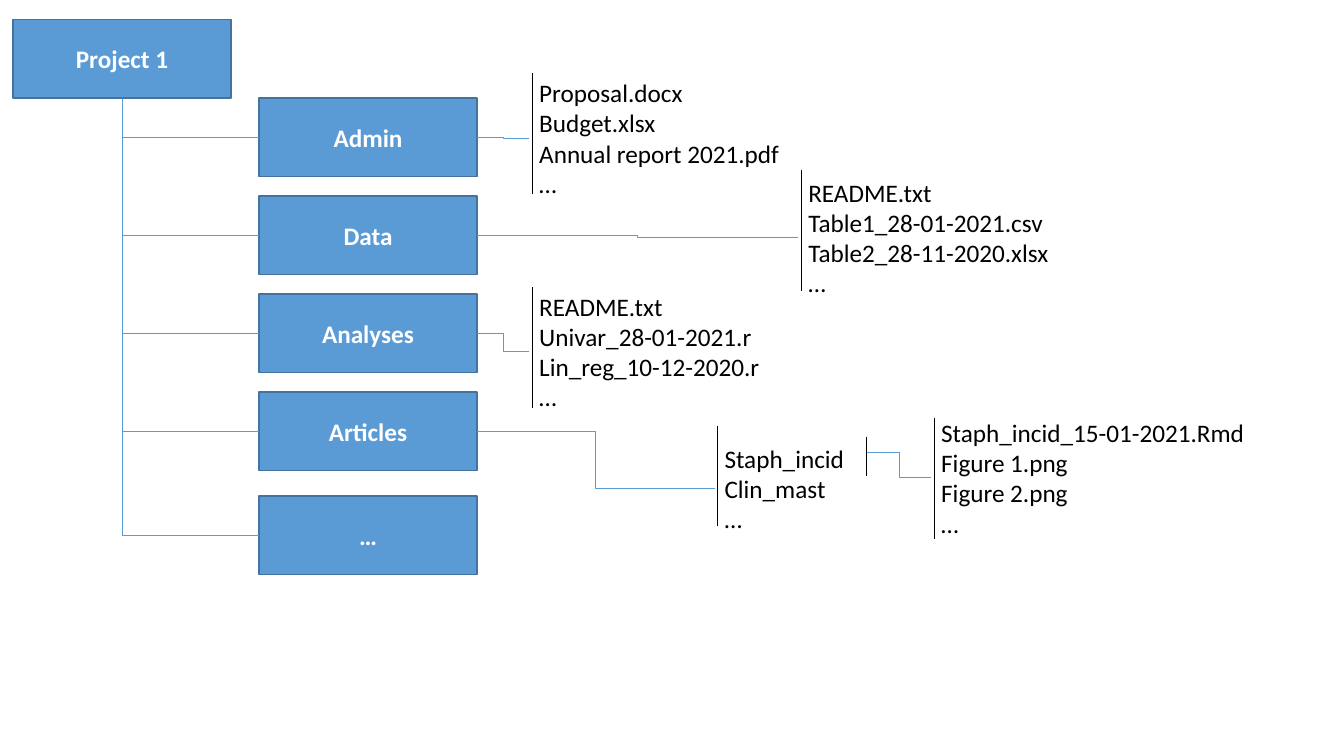
from dataclasses import dataclass

from lxml.etree import SubElement
from pptx import Presentation
from pptx.dml.color import RGBColor
from pptx.enum.shapes import MSO_CONNECTOR as Link, MSO_SHAPE as Preset
from pptx.enum.text import MSO_ANCHOR as Anchor, PP_ALIGN as Align
from pptx.oxml.ns import qn
from pptx.shapes.autoshape import Shape
from pptx.shapes.connector import Connector
from pptx.shapes.shapetree import SlideShapes
from pptx.text.text import TextFrame
from pptx.util import Cm, Pt


@dataclass(frozen=True)
class Theme:
    font: str = "Calibri"
    size: int = 18
    box_fill: RGBColor = RGBColor(0x5B, 0x9B, 0xD5)
    box_line: RGBColor = RGBColor(0x43, 0x73, 0x9E)
    box_text: RGBColor = RGBColor(0xFF, 0xFF, 0xFF)
    ink: RGBColor = RGBColor(0, 0, 0)
    box_line_pt: float = 1
    link_pt: float = 0.5


@dataclass(frozen=True)
class Folder:
    name: str
    left: float
    top: float


@dataclass(frozen=True)
class FileList:
    """Names beside a vertical bar; parent is the folder they sit in, if boxed."""
    parent: str
    names: tuple[str, ...]
    left: float
    top: float
    bar_top: float
    bar_length: float = 3.04
    width: float = 7.7
    height: float = 2.87


THEME = Theme()
BOX_W, BOX_H = 5.49, 1.98
CHILD_LEFT, PITCH = 6.53, 2.47
BAR_OFFSET = 0.08
SUBFOLDER_X, SUBFOLDER_Y = 21.84, 11.4

ROOT = Folder("Project 1", 0.33, 0.49)
CHILDREN = [
    Folder(name, CHILD_LEFT, PITCH * row)
    for row, name in enumerate(("Admin", "Data", "Analyses", "Articles"), start=1)
] + [Folder("…", CHILD_LEFT, 12.5)]

LISTS = (
    FileList("Admin", ("Proposal.docx", "Budget.xlsx", "Annual report 2021.pdf", "…"),
             13.34, 2.04, 1.85),
    FileList("Data", ("README.txt", "Table1_28-01-2021.csv", "Table2_28-11-2020.xlsx", "…"),
             20.12, 4.55, 4.29),
    FileList("Analyses", ("README.txt", "Univar_28-01-2021.r", "Lin_reg_10-12-2020.r", "…"),
             13.34, 7.42, 7.24),
    FileList("Articles", ("Staph_incid", "Clin_mast", "…"),
             18.01, 10.87, 10.74, bar_length=2.51),
    FileList("", ("Staph_incid_15-01-2021.Rmd", "Figure 1.png", "Figure 2.png", "…"),
             23.47, 10.21, 10.54, width=8.48, height=3.66),
)


def write(tf: TextFrame, lines: tuple[str, ...], color: RGBColor,
          align: Align, bold: bool = False) -> None:
    tf.word_wrap = True
    tf.vertical_anchor = Anchor.MIDDLE
    for i, line in enumerate(lines):
        p = tf.add_paragraph() if i else tf.paragraphs[0]
        p.text = line
        p.alignment = align
        p.font.name = THEME.font
        p.font.size = Pt(THEME.size)
        p.font.bold = bold
        p.font.color.rgb = color


def add_folder(shapes: SlideShapes, folder: Folder) -> Shape:
    s = shapes.add_shape(Preset.RECTANGLE, Cm(folder.left), Cm(folder.top),
                         Cm(BOX_W), Cm(BOX_H))
    s.shadow.inherit = False
    s.fill.solid()
    s.fill.fore_color.rgb = THEME.box_fill
    s.line.color.rgb = THEME.box_line
    s.line.width = Pt(THEME.box_line_pt)
    write(s.text_frame, (folder.name,), THEME.box_text, Align.CENTER, bold=True)
    return s


def add_file_list(shapes: SlideShapes, files: FileList) -> Shape:
    s = shapes.add_textbox(Cm(files.left), Cm(files.top), Cm(files.width), Cm(files.height))
    write(s.text_frame, files.names, THEME.ink, Align.LEFT)
    return s


def add_link(shapes: SlideShapes, kind: Link, color: RGBColor,
             x1: float = 0, y1: float = 0, x2: float = 0, y2: float = 0) -> Connector:
    c = shapes.add_connector(kind, Cm(x1), Cm(y1), Cm(x2), Cm(y2))
    c.line.color.rgb = color
    c.line.width = Pt(THEME.link_pt)
    SubElement(c._element.spPr, qn("a:effectLst"))
    return c


def add_branch(shapes: SlideShapes, child: Shape, root: Shape) -> None:
    """Join a child's left side to the underside of the root with a single bend."""
    c = add_link(shapes, Link.ELBOW, THEME.box_fill)
    c._element.spPr.find(qn("a:prstGeom")).set("prst", "bentConnector2")
    c.begin_connect(child, 1)
    c.end_connect(root, 2)


def add_bar(shapes: SlideShapes, x: float, top: float, length: float) -> None:
    add_link(shapes, Link.STRAIGHT, THEME.ink, x, top, x, top + length)


def main() -> None:
    prs = Presentation()
    prs.slide_width, prs.slide_height = Cm(33.87), Cm(19.05)
    shapes = prs.slides.add_slide(prs.slide_layouts[6]).shapes

    root = add_folder(shapes, ROOT)
    boxes = {child.name: add_folder(shapes, child) for child in CHILDREN}
    texts = [add_file_list(shapes, files) for files in LISTS]

    for box in boxes.values():
        add_branch(shapes, box, root)
    for files, text in zip(LISTS, texts):
        c = add_link(shapes, Link.ELBOW, THEME.box_fill, SUBFOLDER_X, SUBFOLDER_Y)
        if files.parent:
            c.begin_connect(boxes[files.parent], 3)
        c.end_connect(text, 1)

    for files in LISTS:
        add_bar(shapes, files.left + BAR_OFFSET, files.bar_top, files.bar_length)
    add_bar(shapes, SUBFOLDER_X, 11, 0.99)

    prs.save("out.pptx")


if __name__ == "__main__":
    main()
